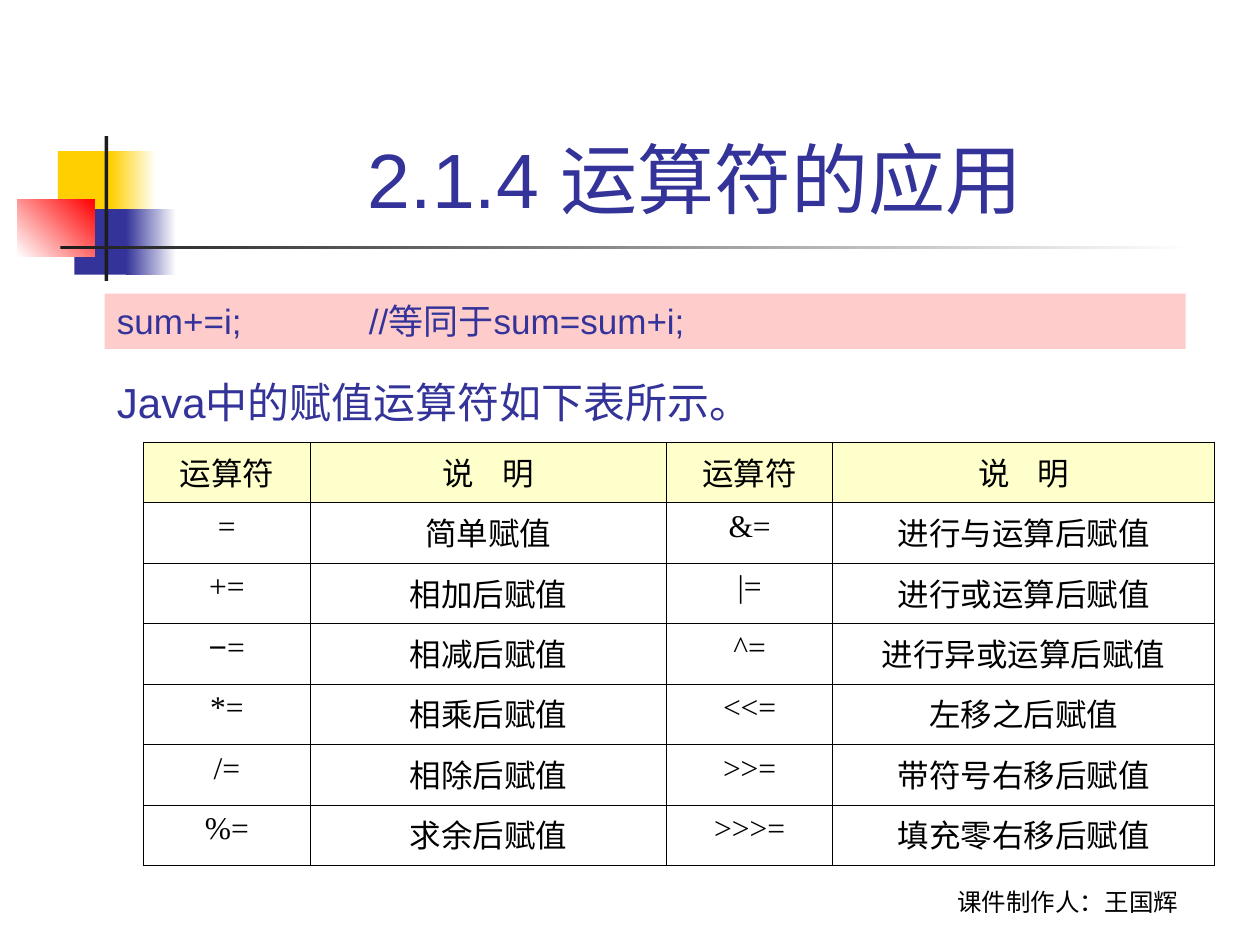
from itertools import groupby

from pptx import Presentation
from pptx.dml.color import RGBColor
from pptx.enum.shapes import MSO_SHAPE as Shape
from pptx.enum.text import MSO_ANCHOR as Anchor, MSO_AUTO_SIZE as AutoSize, PP_ALIGN as Align
from pptx.oxml import parse_xml
from pptx.oxml.ns import nsdecls
from pptx.util import Inches, Pt

INK, NAVY, GOLD, RED = "1C1C1C", "333399", "FFCF01", "FF0000"
BLACK, WHITE, PINK, CREAM = "000000", "FFFFFF", "FFCCCC", "FFFFCC"


def color(value):
    return RGBColor.from_string(value)


class SlideBuilder:
    font = "Arial"
    cell_font = "Times New Roman"
    cell_size = 18
    border = 0.45

    def __init__(self, slide):
        self.s = slide

    def box(self, at):
        return [Inches(v) for v in at]

    def style(self, r, size, value, name=None):
        r.font.size = Pt(size)
        r.font.name = name or self.font
        r.font.color.rgb = color(value)

    def fill_text(self, sp, text, size, value=NAVY, name=None, align=Align.LEFT,
                  anchor=Anchor.TOP):
        tf = sp.text_frame
        tf.text = text
        tf.word_wrap = True
        tf.auto_size = AutoSize.NONE
        tf.vertical_anchor = anchor
        p = tf.paragraphs[0]
        p.alignment = align
        for r in p.runs:
            self.style(r, size, value, name)

    def rect(self, at, fill, end=None, angle=0):
        sp = self.s.shapes.add_shape(Shape.RECTANGLE, *self.box(at))
        sp.shadow.inherit = False
        sp.line.fill.background()
        if end:
            sp.fill.gradient()
            sp.fill.gradient_angle = angle
            for stop, value, position in zip(sp.fill.gradient_stops, (fill, end), (0, 1)):
                stop.color.rgb = color(value)
                stop.position = position
        else:
            sp.fill.solid()
            sp.fill.fore_color.rgb = color(fill)
        return sp

    def title(self, at, text):
        sp = self.s.shapes.title
        sp.left, sp.top, sp.width, sp.height = self.box(at)
        self.fill_text(sp, text, 44, align=Align.CENTER, anchor=Anchor.BOTTOM)

    def text(self, at, text, size, **options):
        self.fill_text(self.s.shapes.add_textbox(*self.box(at)), text, size, **options)

    def banner(self, at, text, size):
        self.fill_text(self.rect(at, PINK), text, size)

    def cell(self, cell, text, fill):
        if fill:
            cell.fill.solid()
            cell.fill.fore_color.rgb = color(fill)
        else:
            cell.fill.background()
        p = cell.text_frame.paragraphs[0]
        p.alignment = Align.CENTER
        for minus, chars in groupby(text, lambda c: c == "−"):
            r = p.add_run()
            r.text = "".join(chars)
            self.style(r, self.cell_size, BLACK, self.font if minus else self.cell_font)
        tcPr = cell._tc.get_or_add_tcPr()
        for i, side in enumerate(("lnL", "lnR", "lnT", "lnB")):
            tcPr.insert(i, parse_xml(
                f'<a:{side} {nsdecls("a")} w="{Pt(self.border)}"><a:solidFill>'
                f'<a:srgbClr val="{BLACK}"/></a:solidFill></a:{side}>'))

    def table(self, left, top, widths, row_height, rows):
        at = left, top, sum(widths), row_height * len(rows)
        table = self.s.shapes.add_table(len(rows), len(widths), *self.box(at)).table
        table.horz_banding = False
        table.first_row = False
        for column, width in zip(table.columns, widths):
            column.width = Inches(width)
        for i, row in enumerate(rows):
            table.rows[i].height = Inches(row_height)
            for j, text in enumerate(row):
                self.cell(table.cell(i, j), text, CREAM if i == 0 else None)


def main():
    prs = Presentation()
    prs.slide_width, prs.slide_height = Inches(10), Inches(7.5)
    b = SlideBuilder(prs.slides.add_slide(prs.slide_layouts[5]))

    b.rect((0.46, 1.2, 0.48, 0.52), GOLD)
    b.rect((0.88, 1.2, 0.36, 0.52), GOLD, WHITE)
    b.rect((0.59, 1.66, 0.46, 0.52), NAVY)
    b.rect((1, 1.66, 0.4, 0.52), NAVY, WHITE)
    b.rect((0.14, 1.58, 0.61, 0.46), WHITE, RED, 45)
    b.rect((0.83, 1.08, 0.03, 1.15), INK)
    b.rect((0.48, 1.95, 9, 0.03), INK, WHITE)

    b.text((6.89, 6.82, 3.17, 0.5), "课件制作人：王国辉", 14, value=BLACK, name="Karla",
           align=Align.CENTER, anchor=Anchor.BOTTOM)
    b.title((1.26, 0.23, 8.52, 1.6), "2.1.4 运算符的应用")
    b.banner((0.83, 2.33, 8.58, 0.44), "sum+=i;\t\t\t//等同于sum=sum+i;", 20)
    b.text((0.83, 2.94, 8.58, 0.5), "Java中的赋值运算符如下表所示。", 24)

    b.table(1.14, 3.51, (1.32, 2.83, 1.32, 3.03), 0.48, [
        ("运算符", "说    明") * 2,
        ("=", "简单赋值", "&=", "进行与运算后赋值"),
        ("+=", "相加后赋值", "|=", "进行或运算后赋值"),
        ("−=", "相减后赋值", "^=", "进行异或运算后赋值"),
        ("*=", "相乘后赋值", "<<=", "左移之后赋值"),
        ("/=", "相除后赋值", ">>=", "带符号右移后赋值"),
        ("%=", "求余后赋值", ">>>=", "填充零右移后赋值"),
    ])
    prs.save("out.pptx")


if __name__ == "__main__":
    main()
